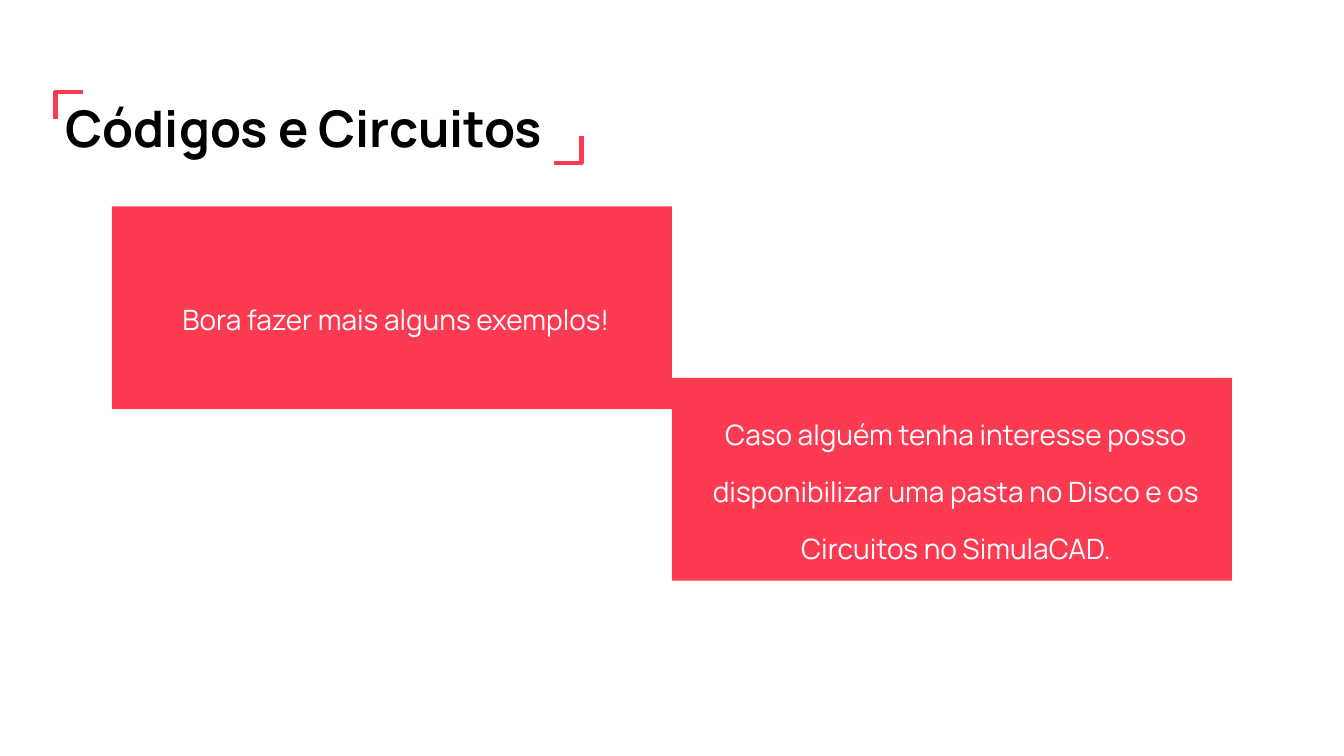
from dataclasses import dataclass

from pptx import Presentation
from pptx.dml.color import RGBColor
from pptx.enum.shapes import MSO_SHAPE as Preset
from pptx.enum.text import MSO_ANCHOR as Anchor, MSO_AUTO_SIZE as AutoSize, PP_ALIGN as Align
from pptx.slide import Slide
from pptx.text.text import _Paragraph as Paragraph
from pptx.util import Pt

COLORS = {"accent": "FC3A52", "title": "000000", "card_text": "FFFFFF"}
FONT = "Manrope"
TITLE_LEFT, TITLE_TOP, TITLE_WIDTH, TITLE_HEIGHT = 39.6, 65.5, 375.8, 51
BRACKET_ARM = 19.4
CARD_WIDTH, CARD_HEIGHT = 400, 144.8
CARD_INSET, CARD_INDENT = 9.6, 5.8


@dataclass
class Bracket:
    corner_x: float
    corner_y: float
    direction: int  # 1 opens right and down, -1 opens left and up


@dataclass
class Card:
    left: float
    top: float
    text: str


BRACKETS = [
    Bracket(TITLE_LEFT, TITLE_TOP, 1),
    Bracket(TITLE_LEFT + TITLE_WIDTH, TITLE_TOP + TITLE_HEIGHT, -1),
]
CARDS = [
    Card(480, 270, "Caso alguém tenha interesse posso disponibilizar uma pasta "
                   "no Disco e os Circuitos no SimulaCAD."),
    Card(80, 147.5, "Bora fazer mais alguns exemplos!"),
]


def color(name: str) -> RGBColor:
    return RGBColor.from_string(COLORS[name])


def add_run(paragraph: Paragraph, text: str, size: float, color_name: str, bold: bool) -> None:
    run = paragraph.add_run()
    run.text = text
    run.font.name = FONT
    run.font.size = Pt(size)
    run.font.bold = bold
    run.font.color.rgb = color(color_name)


def format_title(slide: Slide, text: str) -> None:
    title = slide.shapes.title
    title.left, title.top = Pt(TITLE_LEFT), Pt(TITLE_TOP)
    title.width, title.height = Pt(TITLE_WIDTH), Pt(TITLE_HEIGHT)
    frame = title.text_frame
    frame.auto_size = AutoSize.NONE
    frame.vertical_anchor = Anchor.TOP
    paragraph = frame.paragraphs[0]
    paragraph.alignment = Align.LEFT
    add_run(paragraph, text, 36, "title", True)


def add_bracket(slide: Slide, bracket: Bracket) -> None:
    x, y = bracket.corner_x, bracket.corner_y
    arm = BRACKET_ARM * bracket.direction
    builder = slide.shapes.build_freeform(Pt(x + arm), Pt(y))
    builder.add_line_segments([(Pt(x), Pt(y)), (Pt(x), Pt(y + arm))], close=False)
    shape = builder.convert_to_shape()
    shape.shadow.inherit = False
    shape.fill.background()
    shape.line.color.rgb = color("accent")
    shape.line.width = Pt(3)


def add_card(slide: Slide, card: Card) -> None:
    shape = slide.shapes.add_shape(
        Preset.RECTANGLE, Pt(card.left), Pt(card.top), Pt(CARD_WIDTH), Pt(CARD_HEIGHT))
    shape.shadow.inherit = False
    shape.fill.solid()
    shape.fill.fore_color.rgb = color("accent")
    shape.line.fill.background()
    frame = shape.text_frame
    frame.word_wrap = True
    frame.vertical_anchor = Anchor.MIDDLE
    frame.margin_left = frame.margin_right = Pt(CARD_INSET)
    frame.margin_top = frame.margin_bottom = Pt(CARD_INSET)
    paragraph = frame.paragraphs[0]
    paragraph.alignment = Align.CENTER
    paragraph.line_spacing = 1.7
    # The left indent has no public property
    paragraph._p.get_or_add_pPr().set("marL", str(Pt(CARD_INDENT)))
    add_run(paragraph, card.text, 20, "card_text", False)


def main() -> None:
    presentation = Presentation()
    presentation.slide_width, presentation.slide_height = Pt(960), Pt(540)
    slide = presentation.slides.add_slide(presentation.slide_layouts[5])

    # Title between its corner brackets
    format_title(slide, "Códigos e Circuitos")
    for bracket in BRACKETS:
        add_bracket(slide, bracket)

    # Stepped message cards
    for card in CARDS:
        add_card(slide, card)

    presentation.save("out.pptx")


if __name__ == "__main__":
    main()
